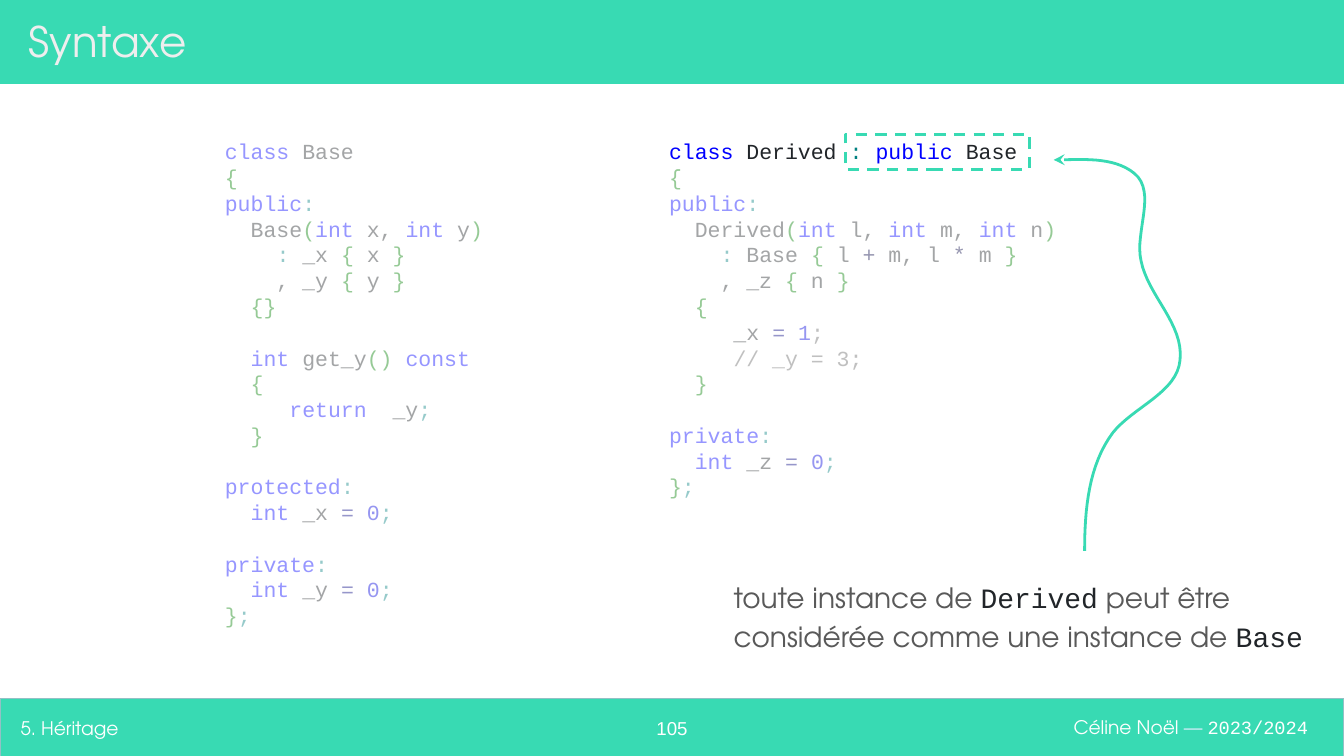
from lxml.etree import SubElement
from pptx import Presentation
from pptx.dml.color import RGBColor as RGB
from pptx.enum.dml import MSO_LINE as Dash
from pptx.enum.shapes import MSO_SHAPE as Kind
from pptx.enum.text import MSO_ANCHOR as Anchor, PP_ALIGN as Align
from pptx.oxml.ns import qn
from pptx.util import Inches, Pt

HUES = {
    "mint": "38DAB3", "edge": "93C0C5", "white": "FFFFFF", "pale": "EEEEEE",
    "ice": "E2EEFF", "gray": "595959",
    # code: keyword, text, brace, colon, operator, arithmetic, number, comment
    "k": "0000FF", "t": "212529", "b": "008000", "c": "008080",
    "o": "000080", "a": "000040", "n": "0000DD", "g": "666666",
}
SANS, MONO = "TeX Gyre Adventor", "Courier New"

deck = Presentation()
deck.slide_width = Inches(10)
deck.slide_height = deck.slide_width * 9 // 16
slide = deck.slides.add_slide(deck.slide_layouts[6])
shapes = slide.shapes
cell = deck.slide_width / 100  # square grid, 100 columns wide


def add_text(box, lines, size, anchor=Anchor.TOP, align=Align.LEFT):
    """Add a text box; each line is a list of (text, font, hue) runs."""
    frame = shapes.add_textbox(*[round(n * cell) for n in box]).text_frame
    frame.word_wrap = True
    frame.vertical_anchor = anchor
    frame.margin_left = frame.margin_right = Inches(0.1)
    frame.margin_top = frame.margin_bottom = Inches(0.1)
    for i, line in enumerate(lines):
        par = frame.add_paragraph() if i else frame.paragraphs[0]
        par.alignment = align
        for text, face, hue in line:
            run = par.add_run()
            run.text = text
            run.font.size, run.font.name = Pt(size), face
            run.font.color.rgb = RGB.from_string(HUES[hue])
    return frame


def add_rect(box, fill=None, line=None, width=0.75):
    rect = shapes.add_shape(Kind.RECTANGLE, *[round(n * cell) for n in box])
    rect.shadow.inherit = False
    if fill:
        rect.fill.solid()
        rect.fill.fore_color.rgb = RGB.from_string(HUES[fill])
    else:
        rect.fill.background()
    if line:
        rect.line.color.rgb = RGB.from_string(HUES[line])
        rect.line.width = Pt(width)
    else:
        rect.line.fill.background()
    return rect


# Header and footer
add_rect((0, 52, 100, 4.4), "mint", "edge")
add_text((71.8, 51.9, 26.5, 4.4),
         [[("Céline Noël ", SANS, "white"), ("— ", SANS, "ice"),
           ("2023/2024", MONO, "white")]], 10, Anchor.MIDDLE, Align.RIGHT)
add_rect((0, 0, 100, 6.25), "mint")
add_text((1.15, 0.6, 94.8, 4.8), [[("Syntaxe", SANS, "pale")]], 22.5, Anchor.MIDDLE)
add_text((47, 52.5, 6, 3.6), [[("105", "Arial", "white")]], 10, align=Align.CENTER)
add_text((0.55, 52, 45.4, 4.4), [[("5. Héritage", SANS, "white")]], 10, Anchor.MIDDLE)

# Code: runs are split by "|", the first letter of each is its hue
derived = """\
kclass|t Derived |c: |kpublic|t Base
b{
kpublic|c:
t  Derived|b(|kint|t l, |kint|t m, |kint|t n|b)
t    |c:|t Base |b{|t l |a+ |tm, l |a* |tm |b}
t    , _z |b{|t n |b}
t  |b{
t     _x |o= |n1|g;
t     |g// _y = 3;
t  |b}

kprivate|c:
t  |kint|t _z |o= |n0|c;
b}|c;"""
base = """\
kclass|t Base
b{
kpublic|c:
t  Base|b(|kint|t x, |kint|t y|b)
t    |c:|t _x |b{|t x |b}
t    , _y |b{|t y |b}
t  |b{}

t  |kint|t get_y|b() |kconst
t  |b{
t     |kreturn|t  _y|c;
t  |b}

kprotected|c:
t  |kint|t _x |o= |n0|c;

kprivate|c:
t  |kint|t _y |o= |n0|c;
b}|c;"""
pitch = Pt(13.8)
for box, code in (((48.8, 9.3, 33.3, 29.1), derived), ((15.75, 9.3, 25.6, 38.8), base)):
    rows = code.split("\n")
    lines = [[(bit[1:], MONO, bit[0]) for bit in row.split("|")] for row in rows if row]
    frame = add_text(box, lines, 11.5)
    gaps = [not prior for prior, row in zip([" "] + rows, rows) if row]
    for par, gap in zip(frame.paragraphs, gaps):
        par.line_spacing = pitch
        if gap:
            par.space_before = pitch

# Veils that fade all but the first line of Derived
for box in ((12.6, 9.3, 26.1, 38.3), (49.1, 12.6, 30, 26.7)):
    veil = add_rect(box, "white")
    veil.rotation = 180
    tint = veil.fill._xPr.find(qn("a:solidFill"))[0]
    SubElement(tint, qn("a:alpha"), val="59000")

# Highlight and its note
frame = add_rect((62.9, 10, 13.7, 2.6), line="mint", width=1.5)
frame.line.dash_style = Dash.DASH
note = add_text((53.6, 41.85, 44.5, 7.4),
                [[("toute instance de ", SANS, "gray"), ("Derived", MONO, "t"),
                  (" peut être considérée comme une instance de ", SANS, "gray"),
                  ("Base", MONO, "t")]], 15)
note.paragraphs[0].line_spacing = 1.15
note.paragraphs[0].space_after = Pt(12)

# Curved arrow: cubic curves, each sampled in equal steps
knots = [(80.7, 41), (80.7, 37.9), (81, 34.6), (82.8, 32.2),
         (84.3, 30.3), (87.6, 29.2), (87.8, 26.8),
         (88.1, 24.1), (85.4, 22), (84.9, 19.4),
         (84.4, 17.3), (86.1, 14.3), (84.4, 12.9),
         (82.8, 11.6), (80.4, 11.9), (78.4, 11.9)]
steps = 16
dots = []
for i in range(0, len(knots) - 1, 3):
    for j in range(1, steps + 1):
        t = j / steps
        mix = ((1 - t) ** 3, 3 * t * (1 - t) ** 2, 3 * t * t * (1 - t), t ** 3)
        dots.append([round(cell * sum(m * k[axis] for m, k in zip(mix, knots[i:i + 4])))
                     for axis in (0, 1)])
pen = shapes.build_freeform(*[round(n * cell) for n in knots[0]])
pen.add_line_segments(dots, close=False)
arrow = pen.convert_to_shape()
arrow.shadow.inherit = False
arrow.fill.background()
arrow.line.color.rgb = RGB.from_string(HUES["mint"])
arrow.line.width = Pt(1.5)
SubElement(arrow.line._get_or_add_ln(), qn("a:tailEnd"), type="stealth")

deck.save("out.pptx")
